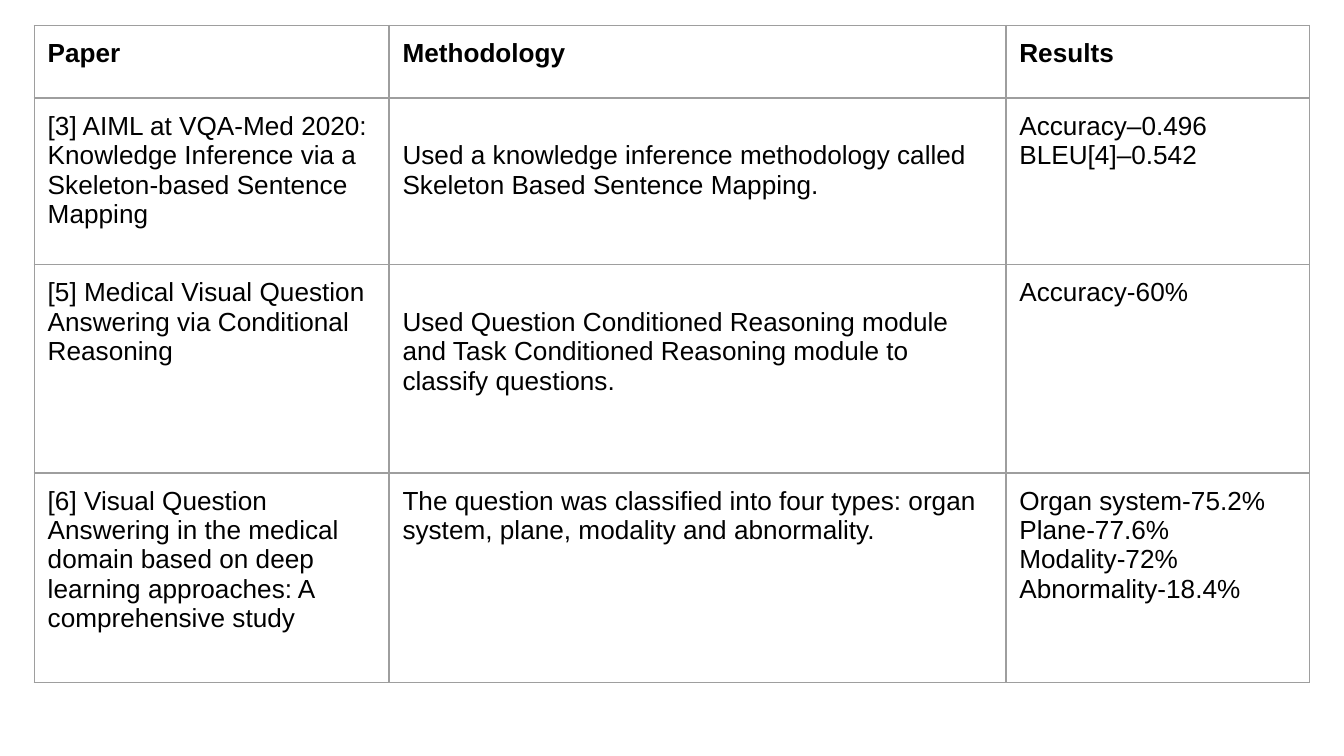
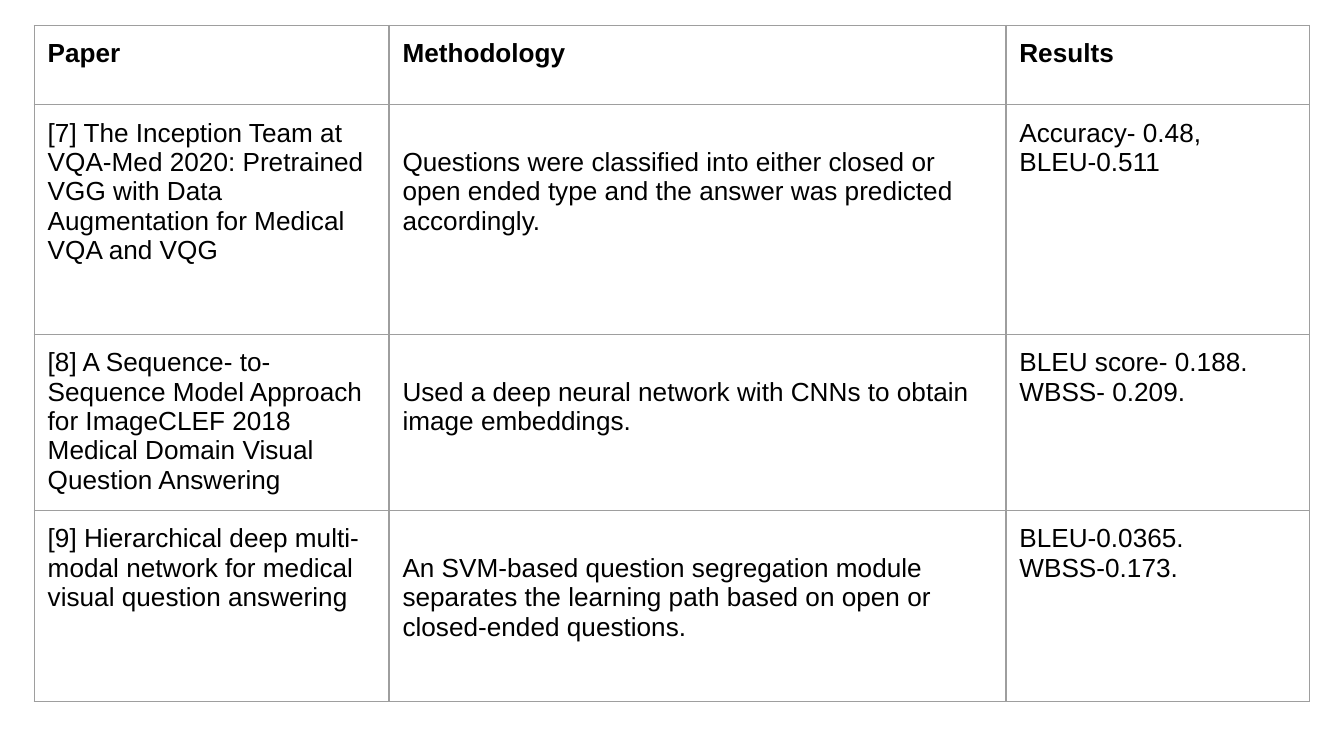
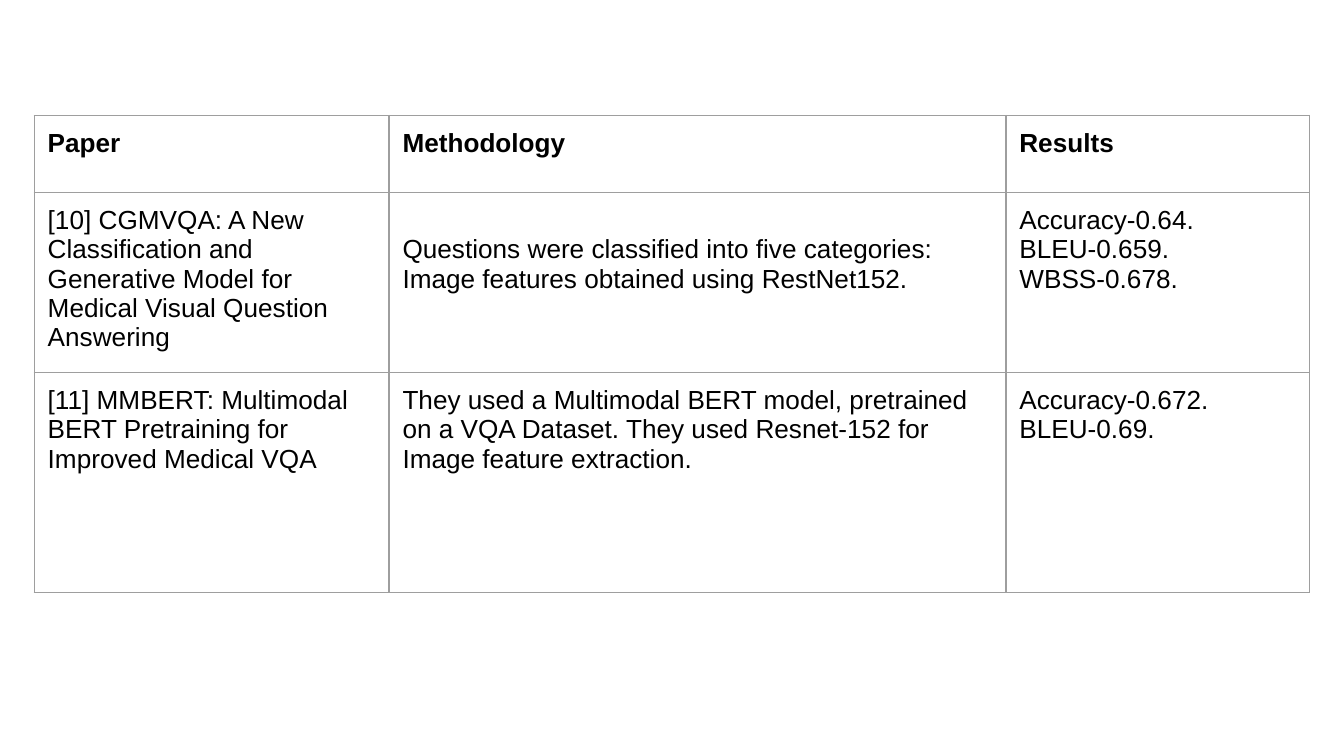
from copy import deepcopy
from dataclasses import dataclass

from lxml import etree
from pptx import Presentation
from pptx import util as u
from pptx.dml import color
from pptx.enum import text
from pptx.oxml import ns

PX = 4572
SLIDE_W, SLIDE_H = 2000, 1125
TABLE_LEFT = 51
COLS = (528, 918, 452)
INSET = 20
LINE_GAP = 44
BORDER_PT = 0.75
FONT = "Arial"
FONT_PT = 14
COLORS = {"text": "000000", "border": "9E9E9E", "background": "FFFFFF"}
HEADINGS = ("Paper", "Methodology", "Results")


@dataclass(frozen=True)
class Study:
    height: int
    paper: str
    method: str
    results: tuple[str, ...]
    lowered: bool = True


@dataclass(frozen=True)
class Survey:
    top: int
    header_height: int
    studies: tuple[Study, ...]


SURVEYS = (
    Survey(38, 108, (
        Study(
            248,
            "[3] AIML at VQA-Med 2020: Knowledge Inference via a Skeleton-based Sentence Mapping",
            "Used a knowledge inference methodology called Skeleton Based Sentence Mapping.",
            ("Accuracy–0.496", "BLEU[4]–0.542"),
        ),
        Study(
            310,
            "[5] Medical Visual Question Answering via Conditional Reasoning",
            "Used Question Conditioned Reasoning module and Task Conditioned Reasoning module "
            "to classify questions.",
            ("Accuracy-60%",),
        ),
        Study(
            312,
            "[6] Visual Question Answering in the medical domain based on deep learning "
            "approaches: A comprehensive study",
            "The question was classified into four types: organ system, plane, modality "
            "and abnormality.",
            ("Organ system-75.2%", "Plane-77.6%", "Modality-72%", "Abnormality-18.4%"),
            lowered=False,
        ),
    )),
    Survey(38, 118, (
        Study(
            342,
            "[7] The Inception Team at VQA-Med 2020: Pretrained VGG with Data Augmentation "
            "for Medical VQA and VQG",
            "Questions were classified into either closed or open ended type and the answer "
            "was predicted accordingly.",
            ("Accuracy- 0.48, BLEU-0.511",),
        ),
        Study(
            262,
            "[8] A Sequence- to-Sequence Model Approach for ImageCLEF 2018 Medical Domain "
            "Visual Question Answering",
            "Used a deep neural network with CNNs to obtain image embeddings.",
            ("BLEU score- 0.188.\nWBSS- 0.209.",),
        ),
        Study(
            284,
            "[9] Hierarchical deep multi-modal network for medical visual question answering",
            "An SVM-based question segregation module separates the learning path based on "
            "open or closed-ended questions.",
            ("BLEU-0.0365.\nWBSS-0.173.",),
        ),
    )),
    Survey(172, 114, (
        Study(
            268,
            "[10] CGMVQA: A New Classification and Generative Model for Medical Visual "
            "Question Answering",
            "Questions were classified into five categories: Image features obtained using "
            "RestNet152.",
            ("Accuracy-0.64. BLEU-0.659.\nWBSS-0.678.",),
        ),
        Study(
            328,
            "[11] MMBERT: Multimodal BERT Pretraining for Improved Medical VQA",
            "They used a Multimodal BERT model, pretrained on a VQA Dataset. They used "
            "Resnet-152 for Image feature extraction.",
            ("Accuracy-0.672.\nBLEU-0.69.",),
            lowered=False,
        ),
    )),
)


def px(n: int) -> u.Emu:
    return u.Emu(n * PX)


def rgb(name: str) -> color.RGBColor:
    return color.RGBColor.from_string(COLORS[name])


def write(p, content: str, *, bold: bool = False, fill: str = "text") -> None:
    p.alignment = text.PP_ALIGN.LEFT
    for i, line in enumerate(content.split("\n")):
        if i:
            p.add_line_break()
        r = p.add_run()
        r.text = line
        r.font.name = FONT
        r.font.size = u.Pt(FONT_PT)
        r.font.bold = bold
        r.font.color.rgb = rgb(fill)
    for br in p._p.findall(ns.qn("a:br")):
        br.insert(0, deepcopy(p.runs[0].font._element))


def add_borders(cell) -> None:
    tc_pr = cell._tc.get_or_add_tcPr()
    for i, side in enumerate(("lnL", "lnR", "lnT", "lnB")):
        ln = etree.Element(ns.qn(f"a:{side}"), w=str(u.Pt(BORDER_PT)))
        fill = etree.SubElement(ln, ns.qn("a:solidFill"))
        etree.SubElement(fill, ns.qn("a:srgbClr"), val=COLORS["border"])
        tc_pr.insert(i, ln)


def fill_cell(cell, lines: tuple[str, ...], *, bold: bool = False, gap: int = 0) -> None:
    cell.fill.background()
    add_borders(cell)
    cell.margin_left = cell.margin_right = cell.margin_bottom = px(INSET)
    cell.margin_top = px(INSET + gap)
    cell.vertical_anchor = text.MSO_ANCHOR.TOP
    tf = cell.text_frame
    for i, line in enumerate(lines):
        write(tf.add_paragraph() if i else tf.paragraphs[0], line, bold=bold)


def add_survey(prs, survey: Survey) -> None:
    s = prs.slides.add_slide(prs.slide_layouts[6])
    s.background.fill.solid()
    s.background.fill.fore_color.rgb = rgb("background")
    heights = (survey.header_height, *(study.height for study in survey.studies))
    table = s.shapes.add_table(
        len(heights), len(COLS),
        px(TABLE_LEFT), px(survey.top), px(sum(COLS)), px(sum(heights)),
    ).table
    table.first_row = table.horz_banding = False
    for column, width in zip(table.columns, COLS):
        column.width = px(width)
    for row, height in zip(table.rows, heights):
        row.height = px(height)
    for col, heading in enumerate(HEADINGS):
        fill_cell(table.cell(0, col), (heading,), bold=True)
    for row, study in enumerate(survey.studies, 1):
        fill_cell(table.cell(row, 0), (study.paper,))
        fill_cell(table.cell(row, 1), (study.method,), gap=LINE_GAP if study.lowered else 0)
        fill_cell(table.cell(row, 2), study.results)


def main() -> None:
    prs = Presentation()
    prs.slide_width, prs.slide_height = px(SLIDE_W), px(SLIDE_H)
    for survey in SURVEYS:
        add_survey(prs, survey)
    prs.save("out.pptx")


if __name__ == "__main__":
    main()
